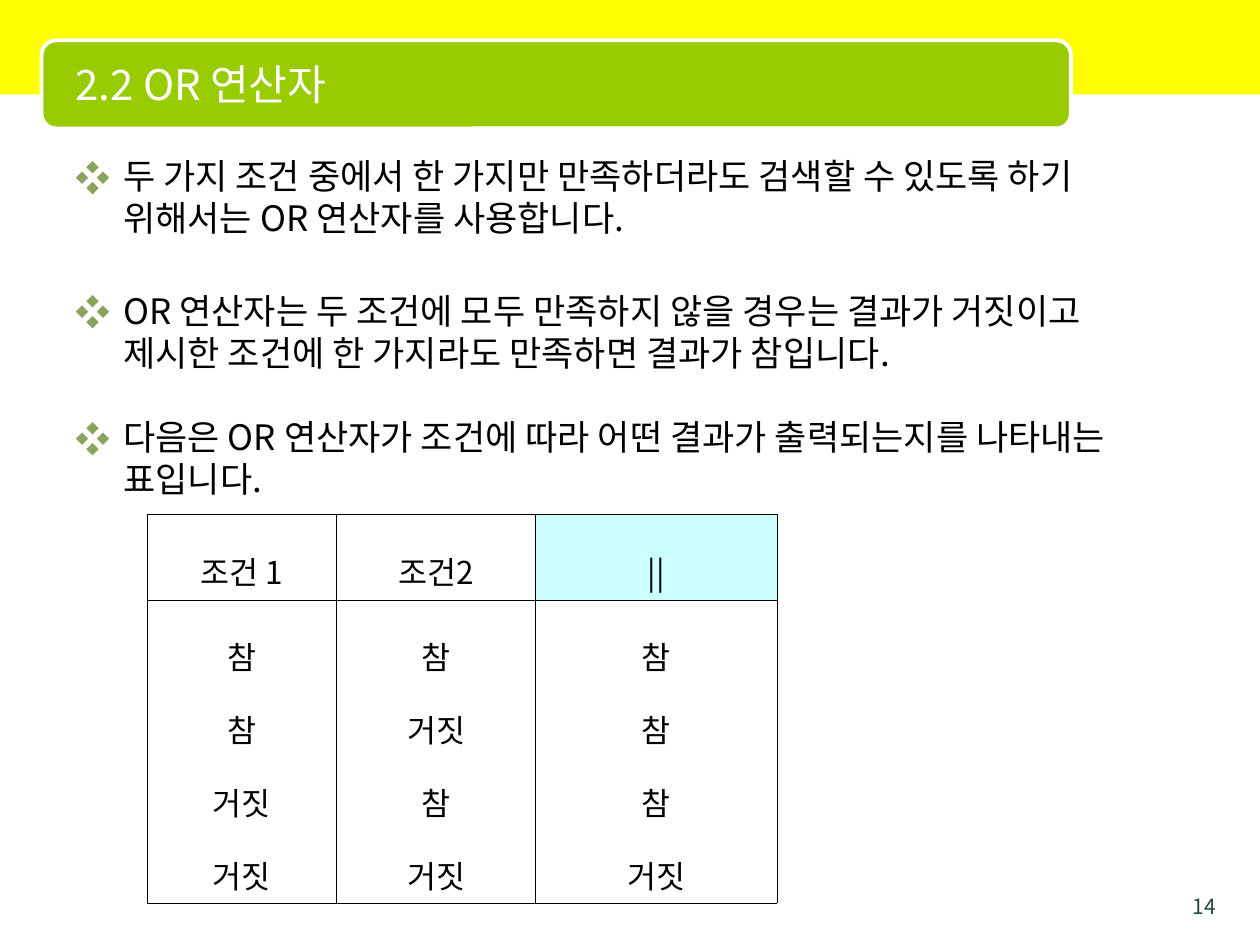
from dataclasses import dataclass

from lxml import etree
from pptx import Presentation
from pptx.dml.color import RGBColor
from pptx.enum import shapes, text
from pptx.oxml import ns
from pptx.util import Inches, Pt


@dataclass(frozen=True)
class Theme:
    font: str = "Noto Sans CJK KR"
    band: str = "FFFF00"
    banner: str = "99CC00"
    white: str = "FFFFFF"
    ink: str = "000000"
    number: str = "1D4940"
    bullet: str = "8CA35F"
    result: str = "CCFFFF"
    title_size: int = 24
    body_size: int = 20
    table_size: int = 18
    number_size: int = 12


def add_element(parent, tag, **attributes):
    return etree.SubElement(parent, ns.qn(tag), attributes)


def add_bullet(para, symbol, color):
    """Give the paragraph a coloured symbol and a hanging indent."""
    properties = para._p.get_or_add_pPr()
    properties.set("marL", str(Inches(0.38)))
    properties.set("indent", str(-Inches(0.38)))
    add_element(add_element(properties, "a:buClr"), "a:srgbClr", val=color)
    add_element(properties, "a:buFont", typeface=Theme.font)
    add_element(properties, "a:buChar", char=symbol)


def write(frame, lines, size, color, align=text.PP_ALIGN.LEFT,
          spacing=None, gap=0, bullet=None):
    """Fill the frame with one paragraph per line; gap separates paragraphs."""
    for index, line in enumerate(lines):
        para = frame.paragraphs[0] if index == 0 else frame.add_paragraph()
        if bullet:
            add_bullet(para, bullet, Theme.bullet)
        para.alignment = align
        para.space_before = Pt(gap if index else 0)
        if spacing:
            para.line_spacing = spacing
        span = para.add_run()
        span.text = line
        span.font.size = Pt(size)
        span.font.name = Theme.font
        span.font.color.rgb = RGBColor.from_string(color)
        add_element(span._r.get_or_add_rPr(), "a:ea", typeface=Theme.font)


def outline_cell(cell, color, points):
    properties = cell._tc.get_or_add_tcPr()
    for position, side in enumerate(("lnL", "lnR", "lnT", "lnB")):
        line = etree.Element(ns.qn(f"a:{side}"), w=str(Pt(points)))
        fill = add_element(line, "a:solidFill")
        add_element(fill, "a:srgbClr", val=color)
        properties.insert(position, line)


class SlideBuilder:
    def __init__(self, deck, theme):
        self.theme = theme
        self.page = deck.slides.add_slide(deck.slide_layouts[6])

    def panel(self, kind, left, top, width, height, fill, line=None):
        shape = self.page.shapes.add_shape(
            kind, Inches(left), Inches(top), Inches(width), Inches(height))
        shape.shadow.inherit = False
        shape.fill.solid()
        shape.fill.fore_color.rgb = RGBColor.from_string(fill)
        if line:
            shape.line.color.rgb = RGBColor.from_string(line)
            shape.line.width = Pt(2.25)
        else:
            shape.line.fill.background()

    def text_box(self, left, top, width, height, lines,
                 anchor=text.MSO_ANCHOR.TOP, **style):
        box = self.page.shapes.add_textbox(
            Inches(left), Inches(top), Inches(width), Inches(height))
        frame = box.text_frame
        frame.word_wrap = True
        frame.vertical_anchor = anchor
        write(frame, lines, **style)

    def bullets(self, left, top, width, height, lines):
        self.text_box(left, top, width, height, lines, bullet="❖",
                      size=self.theme.body_size, color=self.theme.ink,
                      spacing=Pt(24), gap=24)

    def truth_table(self, left, top, widths, heights, rows):
        """Draw rows of cells, each a list of lines; tint the result heading."""
        table = self.page.shapes.add_table(
            len(heights), len(widths), Inches(left), Inches(top),
            Inches(sum(widths)), Inches(sum(heights))).table
        table.first_row = table.horz_banding = False
        for column, width in zip(table.columns, widths):
            column.width = Inches(width)
        for row, height, contents in zip(table.rows, heights, rows):
            row.height = Inches(height)
            for cell, lines in zip(row.cells, contents):
                cell.margin_left = cell.margin_right = Inches(0.02)
                cell.vertical_anchor = text.MSO_ANCHOR.MIDDLE
                cell.fill.background()
                write(cell.text_frame, lines, self.theme.table_size,
                      self.theme.ink, text.PP_ALIGN.CENTER, spacing=1.6)
        result = table.cell(0, len(widths) - 1)
        result.fill.solid()
        result.fill.fore_color.rgb = RGBColor.from_string(self.theme.result)
        for cell in table.iter_cells():
            outline_cell(cell, self.theme.ink, 0.11)


def main():
    deck = Presentation()
    deck.slide_width, deck.slide_height = Inches(10), Inches(7.5)
    theme = Theme()
    slide = SlideBuilder(deck, theme)

    slide.panel(shapes.MSO_SHAPE.RECTANGLE, 0, 0, 10, 0.75, theme.band)
    slide.panel(shapes.MSO_SHAPE.ROUNDED_RECTANGLE, 0.33, 0.32, 8.17, 0.7,
                theme.banner, line=theme.white)
    slide.text_box(9.25, 7.04, 0.5, 0.21, ["14"], size=theme.number_size,
                   color=theme.number, align=text.PP_ALIGN.RIGHT)
    slide.text_box(0.5, 0.35, 7.92, 0.62, ["2.2 OR 연산자"],
                   anchor=text.MSO_ANCHOR.MIDDLE,
                   size=theme.title_size, color=theme.white)

    slide.bullets(0.5, 1.18, 8.67, 5.07, [
        "두 가지 조건 중에서 한 가지만 만족하더라도 검색할 수 있도록 하기 "
        "위해서는 OR 연산자를 사용합니다."])
    slide.bullets(0.5, 2.25, 8.58, 4.49, [
        "OR 연산자는 두 조건에 모두 만족하지 않을 경우는 결과가 거짓이고 "
        "제시한 조건에 한 가지라도 만족하면 결과가 참입니다.",
        "다음은 OR 연산자가 조건에 따라 어떤 결과가 출력되는지를 "
        "나타내는 표입니다."])

    headings = [["조건 1"], ["조건2"], ["||"]]
    values = [["참", "참", "거짓", "거짓"],
              ["참", "거짓", "참", "거짓"],
              ["참", "참", "참", "거짓"]]
    slide.truth_table(1.17, 4.08, [1.5, 1.58, 1.92], [0.68, 2.41],
                      [headings, values])
    deck.save("out.pptx")


if __name__ == "__main__":
    main()
